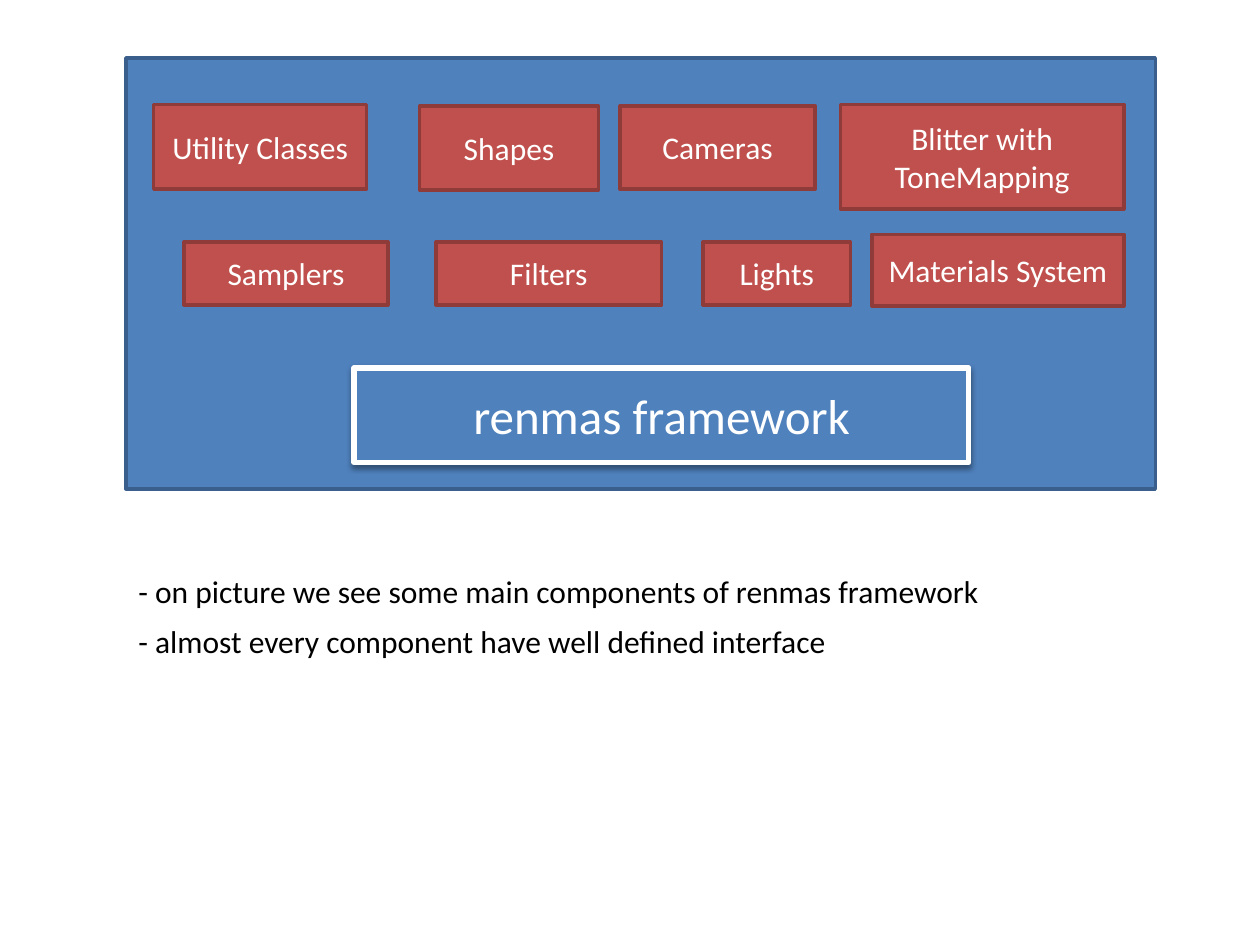
from pptx import Presentation
from pptx.dml.color import RGBColor
from pptx.enum.shapes import MSO_SHAPE as Kind
from pptx.enum.text import MSO_ANCHOR as Anchor, MSO_AUTO_SIZE as Fit, PP_ALIGN as Align
from pptx.oxml import parse_xml
from pptx.util import Inches, Pt

BLUE, RED, WHITE, BLACK = "4F81BD", "C0504D", "FFFFFF", "000000"
NAVY, MAROON = "3A5F8C", "8E3B39"

# Label, left, top, width, height
PARTS = [
    ("Utility Classes", 1.22, 0.83, 1.69, 0.67),
    ("Shapes", 3.33, 0.84, 1.42, 0.67),
    ("Cameras", 4.92, 0.84, 1.55, 0.66),
    ("Blitter with ToneMapping", 6.67, 0.83, 2.25, 0.83),
    ("Samplers", 1.46, 1.92, 1.62, 0.5),
    ("Filters", 3.46, 1.92, 1.79, 0.5),
    ("Lights", 5.58, 1.92, 1.17, 0.5),
    ("Materials System", 6.92, 1.86, 2, 0.57),
]

# Label, width
NOTES = [
    ("- on picture we see some main components of renmas framework", 6.99),
    ("- almost every component have well defined interface", 5.75),
]

SHADOW = (
    '<a:effectLst xmlns:a="http://schemas.openxmlformats.org/drawingml/2006/main">'
    '<a:outerShdw blurRad="40000" dist="20000" dir="5400000" rotWithShape="0">'
    '<a:srgbClr val="000000"><a:alpha val="38000"/></a:srgbClr>'
    '</a:outerShdw></a:effectLst>'
)


def paint(target, color):
    target.rgb = RGBColor.from_string(color)


def apply(target, form):
    for name, value in form.items():
        setattr(target, name, value)


def write(frame, text, size, color, align):
    par = frame.paragraphs[0]
    par.alignment = align
    run = par.add_run()
    run.text = text
    apply(run.font, {"name": "Calibri", "size": Pt(size)})
    paint(run.font.color, color)


def add_box(slide, at, fill, edge, text="", size=18, weight=2):
    box = slide.shapes.add_shape(Kind.RECTANGLE, *map(Inches, at))
    box.shadow.inherit = False
    box.fill.solid()
    paint(box.fill.fore_color, fill)
    paint(box.line.color, edge)
    box.line.width = Pt(weight)
    if text:
        apply(box.text_frame, {"word_wrap": True, "vertical_anchor": Anchor.MIDDLE})
        write(box.text_frame, text, size, WHITE, Align.CENTER)
    return box


def add_shadow(box):
    props = box.fill._xPr
    for old in props.findall("{*}effectLst"):
        props.remove(old)
    props.append(parse_xml(SHADOW))


def add_note(slide, at, text):
    note = slide.shapes.add_textbox(*map(Inches, at))
    apply(note.text_frame, {"word_wrap": False, "auto_size": Fit.SHAPE_TO_FIT_TEXT})
    write(note.text_frame, text, 18, BLACK, Align.LEFT)


def main():
    deck = Presentation()
    apply(deck, {"slide_width": Inches(10), "slide_height": Inches(7.5)})
    slide = deck.slides.add_slide(deck.slide_layouts[6])

    # Framework panel and its components
    add_box(slide, (1, 0.46, 8.17, 3.42), BLUE, NAVY)
    for text, *at in PARTS:
        add_box(slide, at, RED, MAROON, text)

    # Framework title
    title = add_box(slide, (2.81, 2.92, 4.88, 0.75), BLUE, WHITE,
                    "renmas framework", 28, 3)
    add_shadow(title)

    # Notes below the panel
    for row, (text, width) in enumerate(NOTES):
        add_note(slide, (1, 4.49 + 0.4 * row, width, 0.4), text)

    deck.save("out.pptx")


main()
